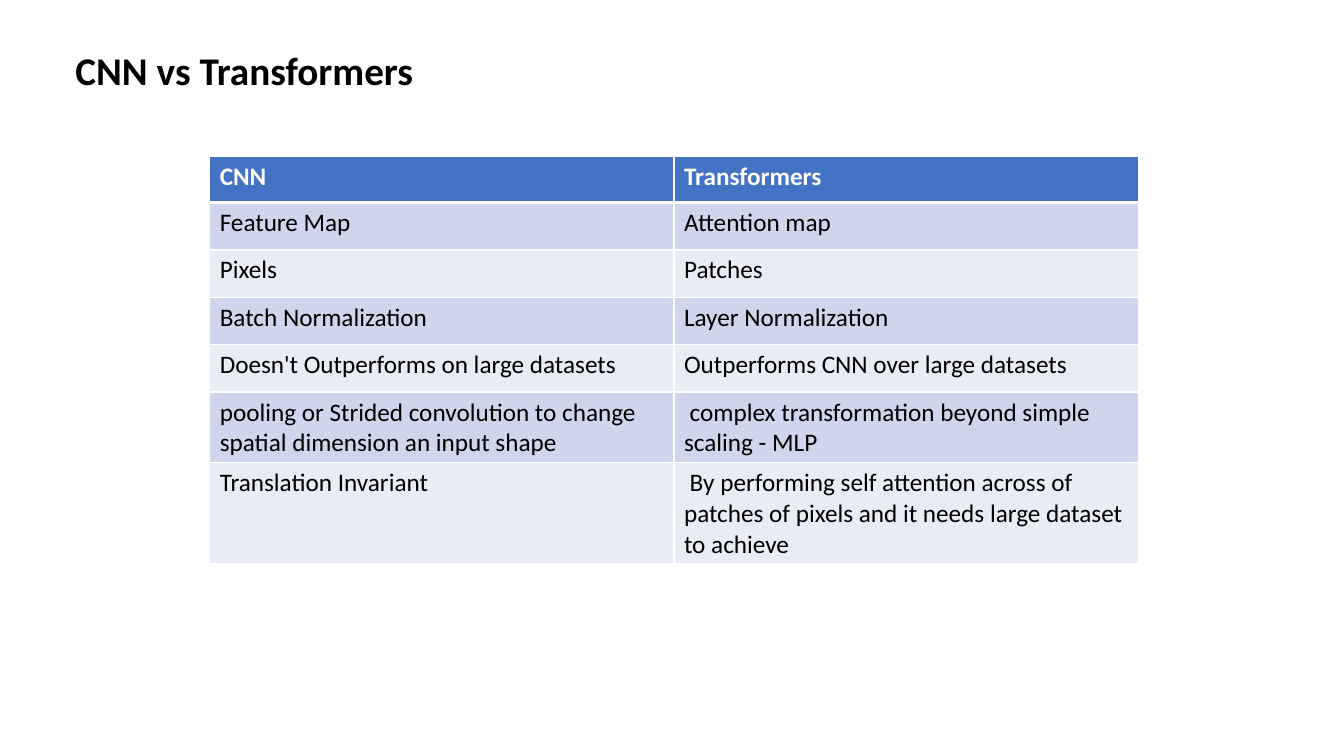
import pptx
import pptx.dml.color
import pptx.enum.text
import pptx.oxml
import pptx.oxml.ns
import pptx.util
from pptx.util import Inches

COLORS = {
    "header": "4472C4",
    "odd": "CFD5EA",
    "even": "E9EBF5",
    "white": "FFFFFF",
    "black": "000000",
}
COMPARISON = [
    ("CNN", "Transformers"),
    ("Feature Map", "Attention map"),
    ("Pixels", "Patches"),
    ("Batch Normalization", "Layer Normalization"),
    ("Doesn't Outperforms on large datasets", "Outperforms CNN over large datasets"),
    ("pooling or Strided convolution to change spatial dimension an input shape",
     " complex transformation beyond simple scaling - MLP"),
    ("Translation Invariant",
     " By performing self attention across of patches of pixels and it needs large dataset to achieve"),
]
ROW_HEIGHTS = [0.46, 0.47, 0.47, 0.47, 0.47, 0.7, 1]
COLUMN_WIDTH = 4.605


def style_text(frame, size, color, bold):
    for span in frame.paragraphs[0].runs:
        span.font.name = "Calibri"
        span.font.size = pptx.util.Pt(size)
        span.font.bold = bold
        span.font.color.rgb = pptx.dml.color.RGBColor.from_string(COLORS[color])


def set_borders(cell, widths):
    properties = cell._tc.get_or_add_tcPr()
    for position, (side, width) in enumerate(widths.items()):
        line = pptx.oxml.parse_xml(
            f'<a:ln{side} {pptx.oxml.ns.nsdecls("a")} w="{pptx.util.Pt(width)}">'
            f'<a:solidFill><a:srgbClr val="{COLORS["white"]}"/></a:solidFill></a:ln{side}>'
        )
        properties.insert(position, line)


# Slide
deck = pptx.Presentation()
deck.slide_width = Inches(13.33)
deck.slide_height = Inches(7.5)
page = deck.slides.add_slide(deck.slide_layouts[6])

# Title
box = page.shapes.add_textbox(Inches(0.65), Inches(0.41), Inches(3.92), Inches(0.57))
box.text_frame.word_wrap = True
box.text_frame.auto_size = pptx.enum.text.MSO_AUTO_SIZE.SHAPE_TO_FIT_TEXT
box.text_frame.text = "CNN vs Transformers"
style_text(box.text_frame, 28, "black", True)

# Comparison table
table = page.shapes.add_table(
    len(COMPARISON), 2, Inches(2.08), Inches(1.55),
    Inches(2 * COLUMN_WIDTH), Inches(sum(ROW_HEIGHTS)),
).table
for column in table.columns:
    column.width = Inches(COLUMN_WIDTH)

for row, (texts, height) in enumerate(zip(COMPARISON, ROW_HEIGHTS)):
    table.rows[row].height = Inches(height)
    is_header = row == 0
    fill = "header" if is_header else "odd" if row % 2 else "even"
    # The thick rule lies between the header and the first body row
    widths = {"L": 1, "R": 1, "T": 3 if row == 1 else 1, "B": 3 if is_header else 1}
    for column, text in enumerate(texts):
        cell = table.cell(row, column)
        cell.text_frame.text = text
        style_text(cell.text_frame, 18, "white" if is_header else "black", is_header)
        cell.fill.solid()
        cell.fill.fore_color.rgb = pptx.dml.color.RGBColor.from_string(COLORS[fill])
        set_borders(cell, widths)

deck.save("out.pptx")
